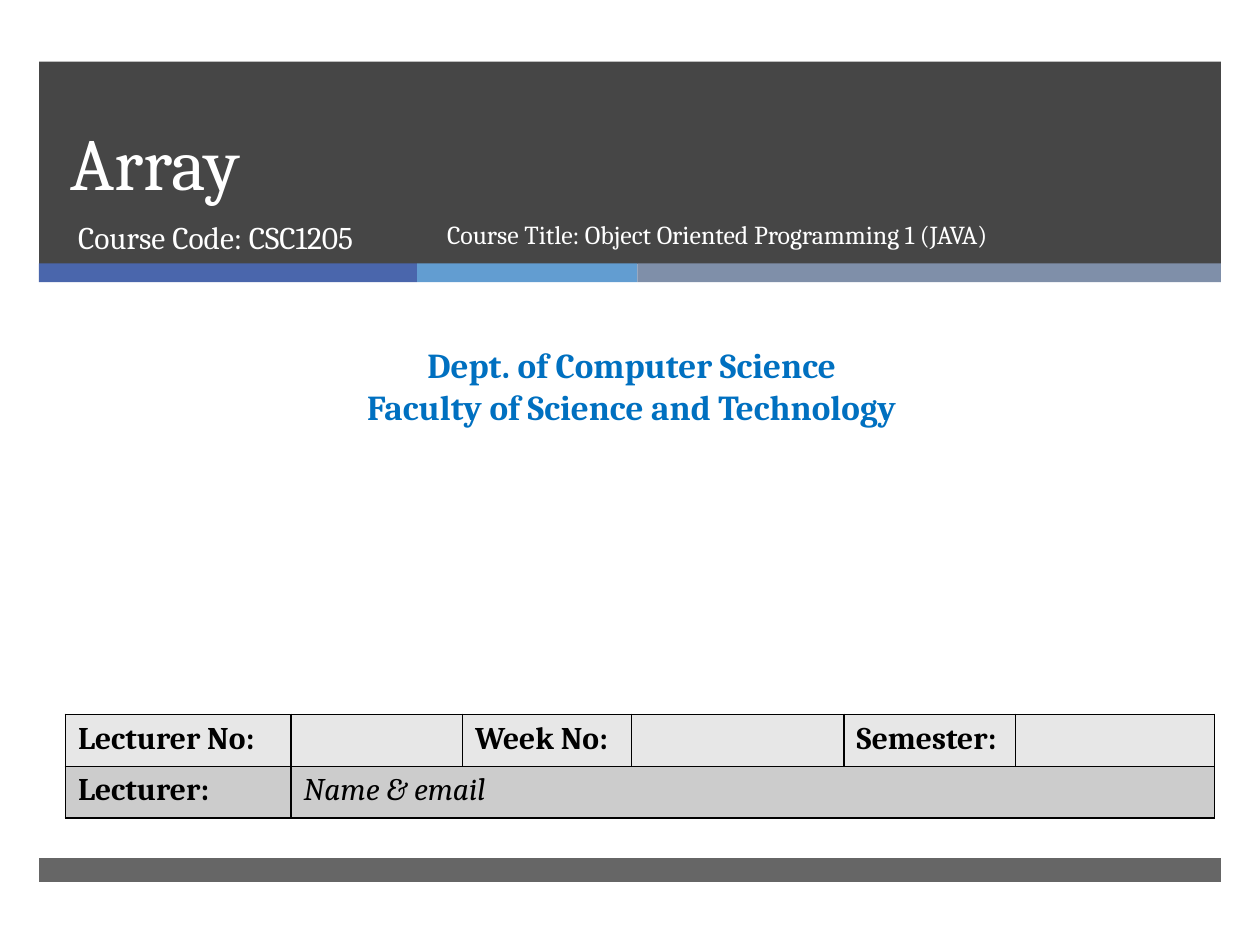
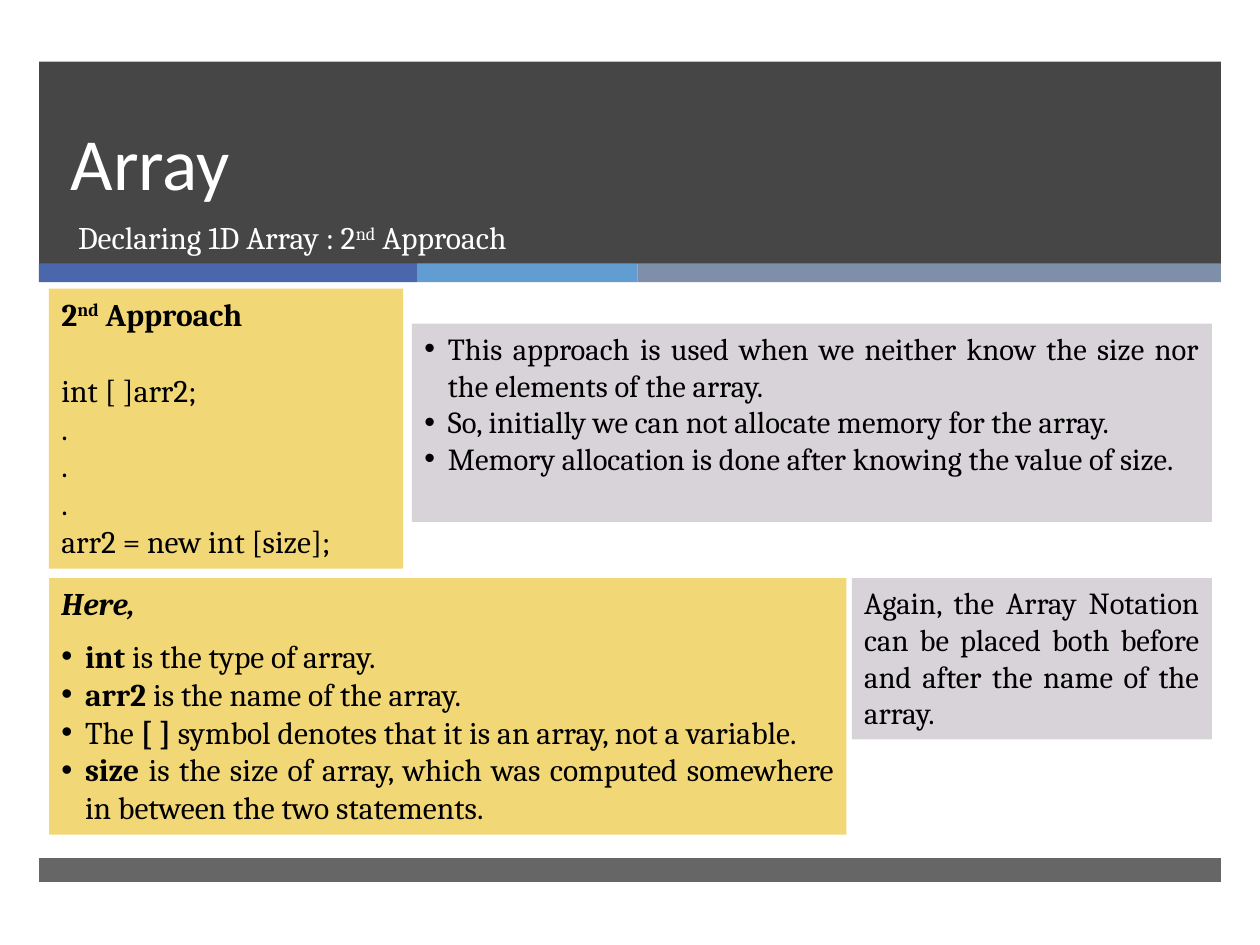
"""Two lecture slides about arrays, sharing one banner layout."""
from dataclasses import dataclass, field
from typing import Any, Optional

from lxml import etree
from pptx import Presentation
from pptx import util as u
from pptx.dml.color import RGBColor
from pptx.enum import shapes, text
from pptx.oxml.ns import qn

Pt = u.Pt
COLORS = {
    "dark": "262626", "white": "FFFFFF", "black": "000000",
    "blue": "4A66AC", "sky": "629DD1", "slate": "7F8FA9",
    "dept": "0070C0", "yellow": "F2D776", "lilac": "D8D3D9",
    "row_light": "E7E7E7", "row_dark": "CCCCCC",
}
LEFT, CENTER, JUSTIFY = (text.PP_ALIGN.LEFT, text.PP_ALIGN.CENTER,
                         text.PP_ALIGN.JUSTIFY)
BOLD = {"bold": True}
BOLD_ITALIC = {"bold": True, "italic": True}
INDENT = 13.5


@dataclass
class Box:
    """A rectangle in points."""
    x: float
    y: float
    w: float
    h: float

    def emu(self) -> tuple:
        """Return left, top, width and height as lengths."""
        return Pt(self.x), Pt(self.y), Pt(self.w), Pt(self.h)


@dataclass
class Run:
    """A piece of text with its own font values."""
    words: str
    font: dict = field(default_factory=dict)
    raised: bool = False


@dataclass
class Para:
    """A paragraph made of runs."""
    runs: list
    bullet: bool = False
    after: float = 0


@dataclass
class Style:
    """Text format shared by all paragraphs of a shape."""
    size: float = 18
    color: str = "black"
    align: Any = LEFT
    name: str = "Cambria"
    spacing: Optional[float] = None


@dataclass
class Band:
    """A coloured bar of the layout."""
    box: Box
    color: str
    alpha: Optional[int] = None


@dataclass
class Panel:
    """A filled text panel."""
    box: Box
    color: str
    size: float
    paras: list


BAR_X, BAR_W, STRIP_Y, STRIP_H = 22.3, 675.4, 150.5, 10.8
STRIPES = [("blue", 216), ("sky", 126), ("slate", 333.4)]
BANDS = [Band(Box(BAR_X, 35.2, BAR_W, 115.6), "dark", 85)]
BANDS += [Band(Box(BAR_X + sum(w for _, w in STRIPES[:i]), STRIP_Y, width, STRIP_H), color)
          for i, (color, width) in enumerate(STRIPES)]
BANDS.append(Band(Box(BAR_X, 490.3, BAR_W, 13.7), "dark", 70))


def rgb(key: str) -> RGBColor:
    """Look up a named colour."""
    return RGBColor.from_string(COLORS[key])


def plain(*lines: str, **para: Any) -> list:
    """Make one unformatted paragraph from each line."""
    return [Para([Run(line)], **para) for line in lines]


def write(tf: Any, paras: list, style: Style) -> None:
    """Fill a text frame with formatted paragraphs."""
    for i, para in enumerate(paras):
        p = tf.paragraphs[0] if i == 0 else tf.add_paragraph()
        values = {"alignment": style.align, "space_before": Pt(0),
                  "space_after": Pt(para.after)}
        if style.spacing:
            values["line_spacing"] = Pt(style.spacing)
        for key, value in values.items():
            setattr(p, key, value)
        if para.bullet:
            pPr = p._p.get_or_add_pPr()
            pPr.set("marL", str(Pt(INDENT)))
            pPr.set("indent", str(-Pt(INDENT)))
            etree.SubElement(pPr, qn("a:buFont"), typeface="Arial")
            etree.SubElement(pPr, qn("a:buChar"), char="•")
        for run in para.runs:
            r = p.add_run()
            r.text = run.words
            font = {"name": style.name, "size": Pt(style.size),
                    "bold": False, "italic": False} | run.font
            for key, value in font.items():
                setattr(r.font, key, value)
            r.font.color.rgb = rgb(style.color)
            if run.raised:
                r._r.get_or_add_rPr().set("baseline", "30000")


def set_frame(tf: Any, anchor: Any = text.MSO_ANCHOR.TOP) -> None:
    """Give a text frame the common margins, wrapping and anchor."""
    values = {"word_wrap": True, "auto_size": text.MSO_AUTO_SIZE.NONE,
              "vertical_anchor": anchor,
              "margin_left": Pt(7.2), "margin_right": Pt(7.2),
              "margin_top": Pt(3.6), "margin_bottom": Pt(3.6)}
    for key, value in values.items():
        setattr(tf, key, value)


def add_rect(s: Any, box: Box, color: str) -> Any:
    """Add a plain filled rectangle."""
    sp = s.shapes.add_shape(shapes.MSO_SHAPE.RECTANGLE, *box.emu())
    sp.shadow.inherit = False
    sp.fill.solid()
    sp.fill.fore_color.rgb = rgb(color)
    sp.line.fill.background()
    return sp


def add_bands(s: Any) -> None:
    """Put the bars on the slide's layout, behind its placeholders."""
    for i, band in enumerate(BANDS):
        sp = add_rect(s, band.box, band.color)
        if band.alpha:
            clr = sp._element.spPr.find(".//" + qn("a:srgbClr"))
            etree.SubElement(clr, qn("a:alpha"), val=str(band.alpha * 1000))
        s.slide_layout.shapes._spTree.insert(2 + i, sp._element)


def add_text(s: Any, box: Box, paras: list, style: Style) -> None:
    """Add a text box."""
    tf = s.shapes.add_textbox(*box.emu()).text_frame
    set_frame(tf)
    write(tf, paras, style)


def add_panel(s: Any, panel: Panel) -> None:
    """Add a filled panel with justified text."""
    tf = add_rect(s, panel.box, panel.color).text_frame
    set_frame(tf)
    write(tf, panel.paras, Style(panel.size, align=JUSTIFY))


def fill_placeholder(sp: Any, box: Box, paras: list, style: Style, anchor: Any) -> None:
    """Move a placeholder and write its text."""
    for key, value in zip(("left", "top", "width", "height"), box.emu()):
        setattr(sp, key, value)
    set_frame(sp.text_frame, anchor)
    write(sp.text_frame, paras, style)


def add_slide(prs: Any, title_font: str, subtitle: list, width: float) -> Any:
    """Add a slide with its title and subtitle in the banner."""
    s = prs.slides.add_slide(prs.slide_layouts[0])
    fill_placeholder(s.shapes.title, Box(33.1, 35.2, 615, 85.7), plain("Array"),
                     Style(42, "white", name=title_font, spacing=46),
                     text.MSO_ANCHOR.BOTTOM)
    fill_placeholder(s.placeholders[1], Box(37.4, 121, width, 38.2), subtitle,
                     Style(18, "white"), text.MSO_ANCHOR.TOP)
    return s


def set_borders(cell: Any) -> None:
    """Draw a thin black line on every side of a cell."""
    tcPr = cell._tc.get_or_add_tcPr()
    for i, side in enumerate(("lnL", "lnR", "lnT", "lnB")):
        ln = etree.Element(qn("a:" + side), w=str(Pt(1)))
        solid = etree.SubElement(ln, qn("a:solidFill"))
        etree.SubElement(solid, qn("a:srgbClr"), val=COLORS["black"])
        tcPr.insert(i, ln)


def add_lecture_table(s: Any, box: Box) -> None:
    """Add the table of lecture details."""
    widths = [129, 98, 96.5, 121.5, 98, 113.6]
    rows = [("row_light", {0: Run("Lecturer No:", BOLD), 2: Run("Week No:", BOLD),
                           4: Run("Semester:", BOLD)}),
            ("row_dark", {0: Run("Lecturer:", BOLD),
                          1: Run("Name & email", {"italic": True})})]
    table = s.shapes.add_table(len(rows), len(widths), *box.emu()).table
    for column, width in zip(table.columns, widths):
        column.width = Pt(width)
    for i, (color, runs) in enumerate(rows):
        for j in range(len(widths)):
            cell = table.cell(i, j)
            cell.fill.solid()
            cell.fill.fore_color.rgb = rgb(color)
            set_borders(cell)
            if j in runs:
                write(cell.text_frame, [Para([runs[j]])], Style())
    table.cell(1, 1).merge(table.cell(1, len(widths) - 1))


def build_cover(prs: Any) -> None:
    """Build the course cover and the shared bars."""
    s = add_slide(prs, "Cambria", plain("Course Code: CSC1205"), 219.6)
    add_bands(s)
    dept = [Para([Run(line, BOLD)]) for line in
            ("Dept. of Computer Science", "Faculty of Science and Technology")]
    add_text(s, Box(5.8, 193, 710.6, 55.4), dept, Style(20, "dept", CENTER))
    add_lecture_table(s, Box(37.4, 408.2, 656.6, 59.4))
    add_text(s, Box(248.4, 121.5, 357.8, 38.2),
             plain("Course Title: Object Oriented Programming 1 (JAVA)"),
             Style(14.8, "white"))


def build_approach(prs: Any) -> None:
    """Build the slide on the second way to declare an array."""
    s = add_slide(prs, "Calibri", [Para([
        Run("Declaring 1D Array : 2"), Run("nd", raised=True), Run(" Approach")])], 610.6)
    heading = Para([Run("2", BOLD), Run("nd", BOLD, raised=True),
                    Run(" Approach", BOLD)], after=21.8)
    code = plain("int [ ]arr2;", ".", ".", ".", "arr2 = new int [size];")
    terms = [
        [Run("int", BOLD), Run(" is the type of array.")],
        [Run("arr2", BOLD), Run(" is the name of the array.")],
        [Run("The "), Run("[ ] ", BOLD),
         Run("symbol denotes that it is an array, not a variable.")],
        [Run("size", BOLD), Run(" is the size of array, which was computed "
                                "somewhere in between the two statements.")],
    ]
    here = Para([Run("Here,", BOLD_ITALIC)], after=8.6)
    usage = plain(
        "This approach is used when we neither know the size nor the elements of the array.",
        "So, initially we can not allocate memory for the array.",
        "Memory allocation is done after knowing the value of size.", bullet=True)
    notation = plain("Again, the Array Notation can be placed both before and after "
                     "the name of the array.")
    for panel in (
        Panel(Box(28, 330.3, 455.6, 146.7), "yellow", 18,
              [here] + [Para(runs, bullet=True) for runs in terms]),
        Panel(Box(486.8, 330.3, 205.8, 92.2), "lilac", 17.5, notation),
        Panel(Box(235.4, 185, 457.2, 113.2), "lilac", 17.5, usage),
        Panel(Box(28, 165, 202.4, 160), "yellow", 18, [heading] + code),
    ):
        add_panel(s, panel)


def main() -> None:
    """Build and save the deck."""
    prs = Presentation()
    prs.slide_width, prs.slide_height = Pt(720), Pt(540)
    build_cover(prs)
    build_approach(prs)
    prs.save("out.pptx")


main()
